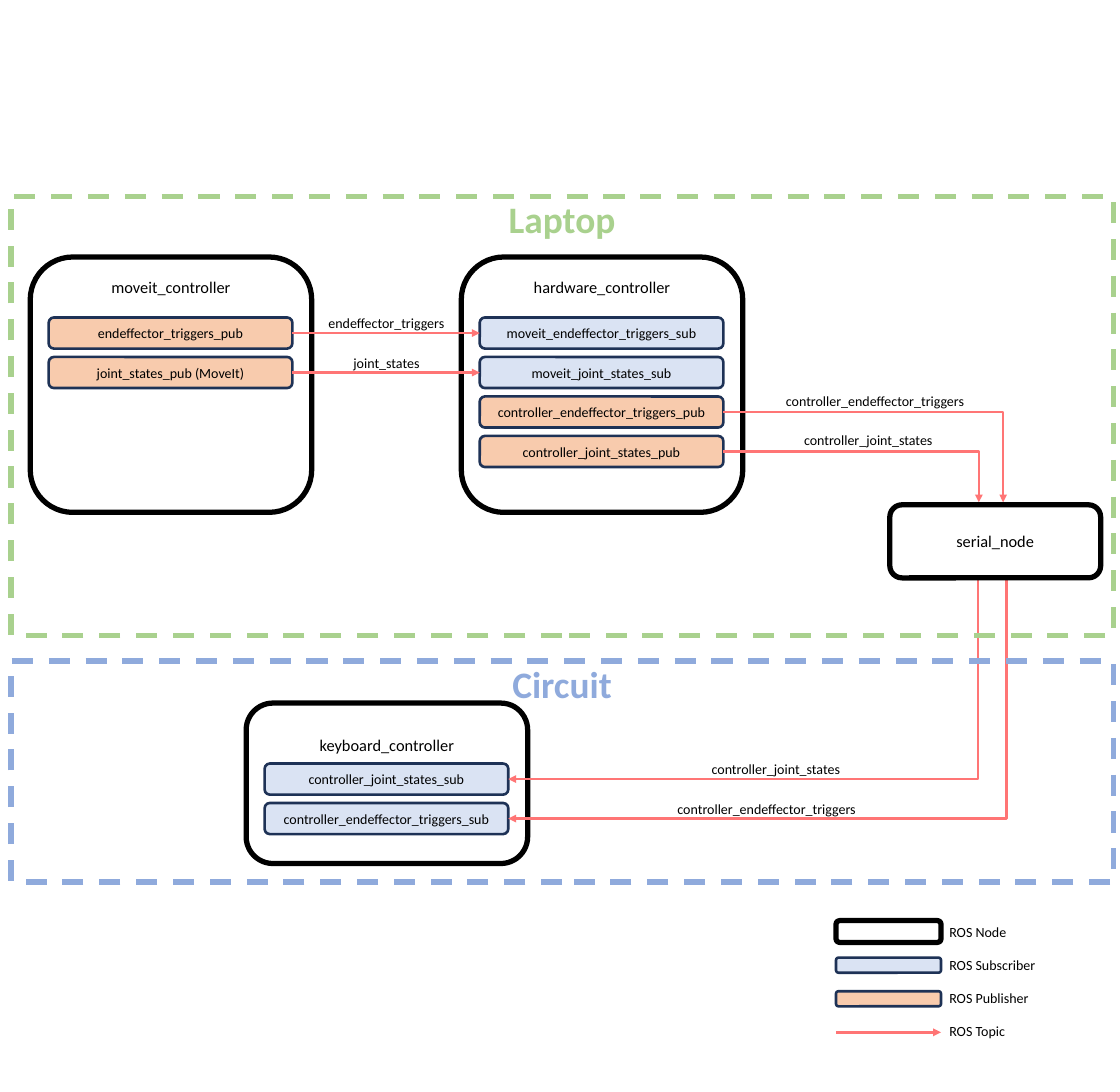
from lxml import etree
from pptx import Presentation
from pptx.dml.color import RGBColor
from pptx.enum.dml import MSO_LINE
from pptx.enum.shapes import MSO_CONNECTOR, MSO_SHAPE
from pptx.enum.text import MSO_ANCHOR, PP_ALIGN
from pptx.oxml.ns import qn
from pptx.util import Inches, Pt

BLACK = RGBColor(0x00, 0x00, 0x00)
NAVY = RGBColor(0x1E, 0x32, 0x56)
RED = RGBColor(0xFF, 0x75, 0x75)
PEACH = RGBColor(0xF8, 0xCB, 0xAD)
PALE = RGBColor(0xDA, 0xE3, 0xF3)
GREEN = RGBColor(0xA9, 0xD1, 0x8E)
BLUE = RGBColor(0x8F, 0xAA, 0xDC)

PORT_W, PORT_H, PORT_X, PORT_Y, PITCH = 2.9, 0.37, 0.22, 0.72, 0.47
LABEL_H = 0.3


def style(par, size, color=BLACK, bold=False, align=PP_ALIGN.CENTER):
    par.alignment = align
    for run in par.runs:
        run.font.name = "Calibri"
        run.font.size = Pt(size)
        run.font.bold = bold
        run.font.color.rgb = color


def panel(shapes, kind, box, line, width, fill=None):
    shape = shapes.add_shape(kind, *map(Inches, box))
    shape.shadow.inherit = False
    if fill is None:
        shape.fill.background()
    else:
        shape.fill.solid()
        shape.fill.fore_color.rgb = fill
    shape.line.color.rgb = line
    shape.line.width = Pt(width)
    return shape


def write(shape, text, size, color=BLACK, bold=False, gap=None):
    frame = shape.text_frame
    frame.word_wrap = True
    frame.vertical_anchor = MSO_ANCHOR.MIDDLE
    if gap is not None:
        frame.vertical_anchor = MSO_ANCHOR.TOP
        frame.margin_top = Inches(gap)
    frame.text = text
    style(frame.paragraphs[0], size, color, bold)


def frame_zone(shapes, box, title, color):
    zone = panel(shapes, MSO_SHAPE.RECTANGLE, box, color, 4.5)
    zone.line.dash_style = MSO_LINE.DASH
    write(zone, title, 32, color, True, 0)


def node(shapes, box, title, ports=(), gap=None):
    left, top = box[:2]
    body = panel(shapes, MSO_SHAPE.ROUNDED_RECTANGLE, box, BLACK, 4.5)
    write(body, title, 14, gap=gap)
    for i, (text, fill) in enumerate(ports):
        spot = (left + PORT_X, top + PORT_Y + i * PITCH, PORT_W, PORT_H)
        port = panel(shapes, MSO_SHAPE.ROUNDED_RECTANGLE, spot, NAVY, 2.25, fill)
        write(port, text, 12)


def ends(box, row):
    left = box[0] + PORT_X
    return left, left + PORT_W, box[1] + PORT_Y + row * PITCH + PORT_H / 2


def wire(shapes, start, end, bend=None):
    kind = MSO_CONNECTOR.STRAIGHT if bend is None else MSO_CONNECTOR.ELBOW
    link = shapes.add_connector(kind, *map(Inches, start + end))
    link.line.color.rgb = RED
    link.line.width = Pt(2.25)
    props = link._element.spPr
    if bend is not None:
        shape = props.find(qn("a:prstGeom"))
        guides = shape.find(qn("a:avLst"))
        if guides is None:
            guides = etree.SubElement(shape, qn("a:avLst"))
        etree.SubElement(guides, qn("a:gd"), name="adj1", fmla=f"val {bend}")
    etree.SubElement(props.find(qn("a:ln")), qn("a:tailEnd"), type="triangle")
    etree.SubElement(props, qn("a:effectLst"))


def label(shapes, left, top, width, text):
    box = shapes.add_textbox(*map(Inches, (left, top, width, LABEL_H)))
    box.text_frame.word_wrap = False
    box.text_frame.text = text
    style(box.text_frame.paragraphs[0], 12)


def legend(shapes, left, top):
    group = shapes.add_group_shape().shapes
    wide, step = 1.25, 0.4
    keys = ((0.26, BLACK, 4.5, None), (0.18, NAVY, 2.25, PALE), (0.18, NAVY, 2.25, PEACH))
    for i, (high, line, width, fill) in enumerate(keys):
        box = (left, top + i * step - high / 2, wide, high)
        panel(group, MSO_SHAPE.ROUNDED_RECTANGLE, box, line, width, fill)
    row = top + len(keys) * step
    wire(group, (left, row), (left + wide, row))
    note = group.add_textbox(*map(Inches, (left + wide, top - 0.15, 2.05, 1.51)))
    frame = note.text_frame
    frame.word_wrap = True
    frame.text = "ROS Node\nROS Subscriber\nROS Publisher\nROS Topic"
    for par in frame.paragraphs:
        style(par, 12, align=PP_ALIGN.LEFT)
        par.space_after = Pt(14)


def laptop(shapes, move, hard, serial):
    node(shapes, move, "moveit_controller",
         (("endeffector_triggers_pub", PEACH), ("joint_states_pub (MoveIt)", PEACH)), 0.09)
    node(shapes, hard, "hardware_controller",
         (("moveit_endeffector_triggers_sub", PALE), ("moveit_joint_states_sub", PALE),
          ("controller_endeffector_triggers_pub", PEACH),
          ("controller_joint_states_pub", PEACH)), 0.09)
    for row in range(2):
        y = ends(move, row)[2]
        wire(shapes, (ends(move, row)[1], y), (ends(hard, row)[0], y))
    for row, x in ((2, 11.94), (3, 11.65)):
        wire(shapes, ends(hard, row)[1:], (x, serial[1] - 0.03), 100000)
    label(shapes, 3.8, 3.69, 1.6, "endeffector_triggers")
    label(shapes, 4.1, 4.17, 1, "joint_states")
    label(shapes, 9.24, 4.62, 2.35, "controller_endeffector_triggers")
    label(shapes, 9.46, 5.09, 1.75, "controller_joint_states")


def circuit(shapes, keys, serial):
    node(shapes, keys, "keyboard_controller",
         (("controller_joint_states_sub", PALE),
          ("controller_endeffector_triggers_sub", PALE)), 0.29)
    for row, x in enumerate((11.64, 11.98)):
        wire(shapes, (x, serial[1] + serial[3]), ends(keys, row)[1:], 0)
    label(shapes, 8.36, 9, 1.75, "controller_joint_states")
    label(shapes, 7.95, 9.48, 2.35, "controller_endeffector_triggers")


def main():
    deck = Presentation()
    deck.slide_width, deck.slide_height = Inches(13.33), Inches(13)
    shapes = deck.slides.add_slide(deck.slide_layouts[6]).shapes
    serial = (10.59, 6.01, 2.51, 0.87)
    laptop(shapes, (0.36, 3.06, 3.35, 3.04), (5.49, 3.06, 3.35, 3.04), serial)
    circuit(shapes, (2.93, 8.37, 3.35, 1.91), serial)
    node(shapes, serial, "serial_node")
    legend(shapes, 9.95, 11.09)
    frame_zone(shapes, (0.13, 2.34, 13.12, 5.23), "Laptop", GREEN)
    frame_zone(shapes, (0.13, 7.87, 13.12, 2.63), "Circuit", BLUE)
    deck.save("out.pptx")


if __name__ == "__main__":
    main()
